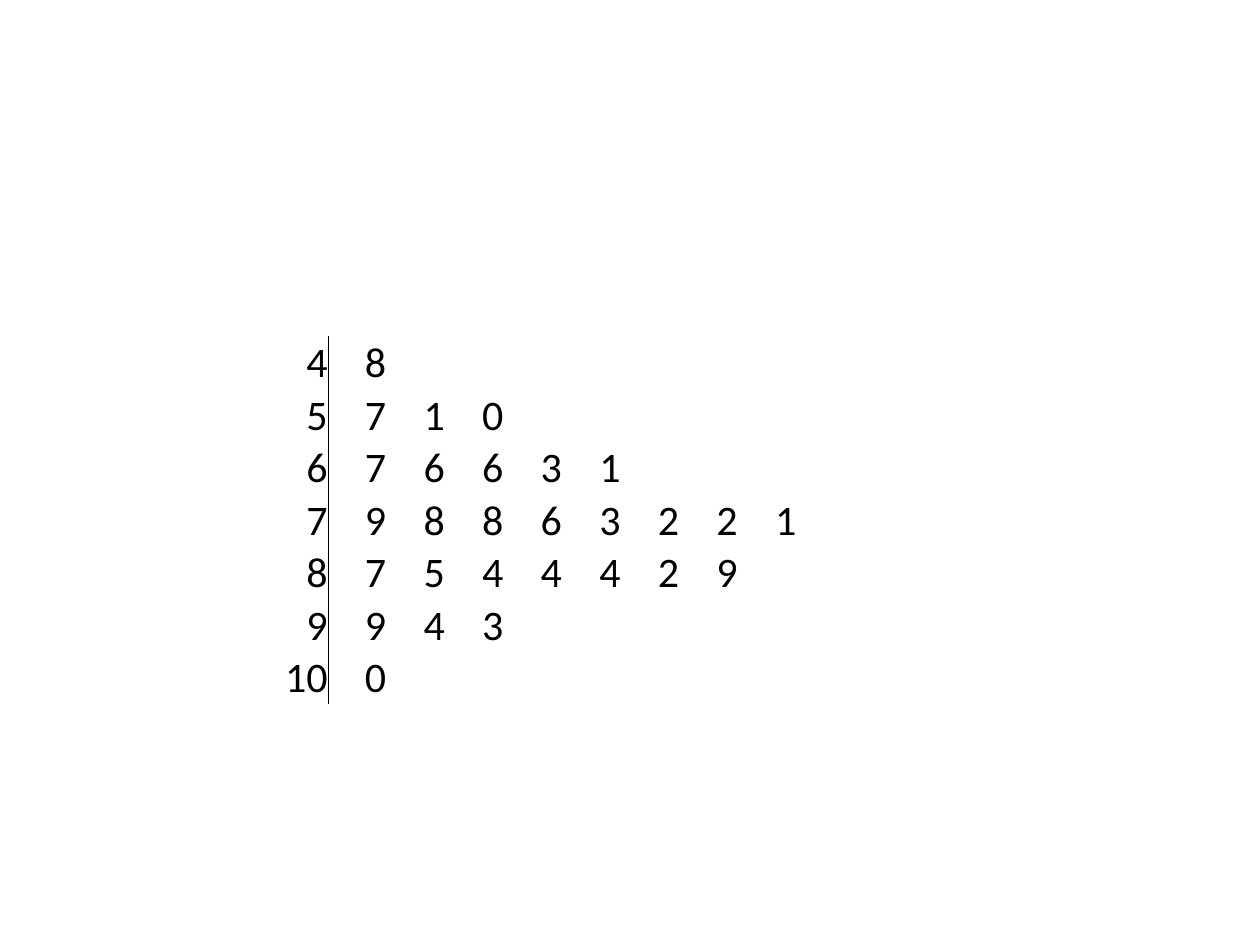
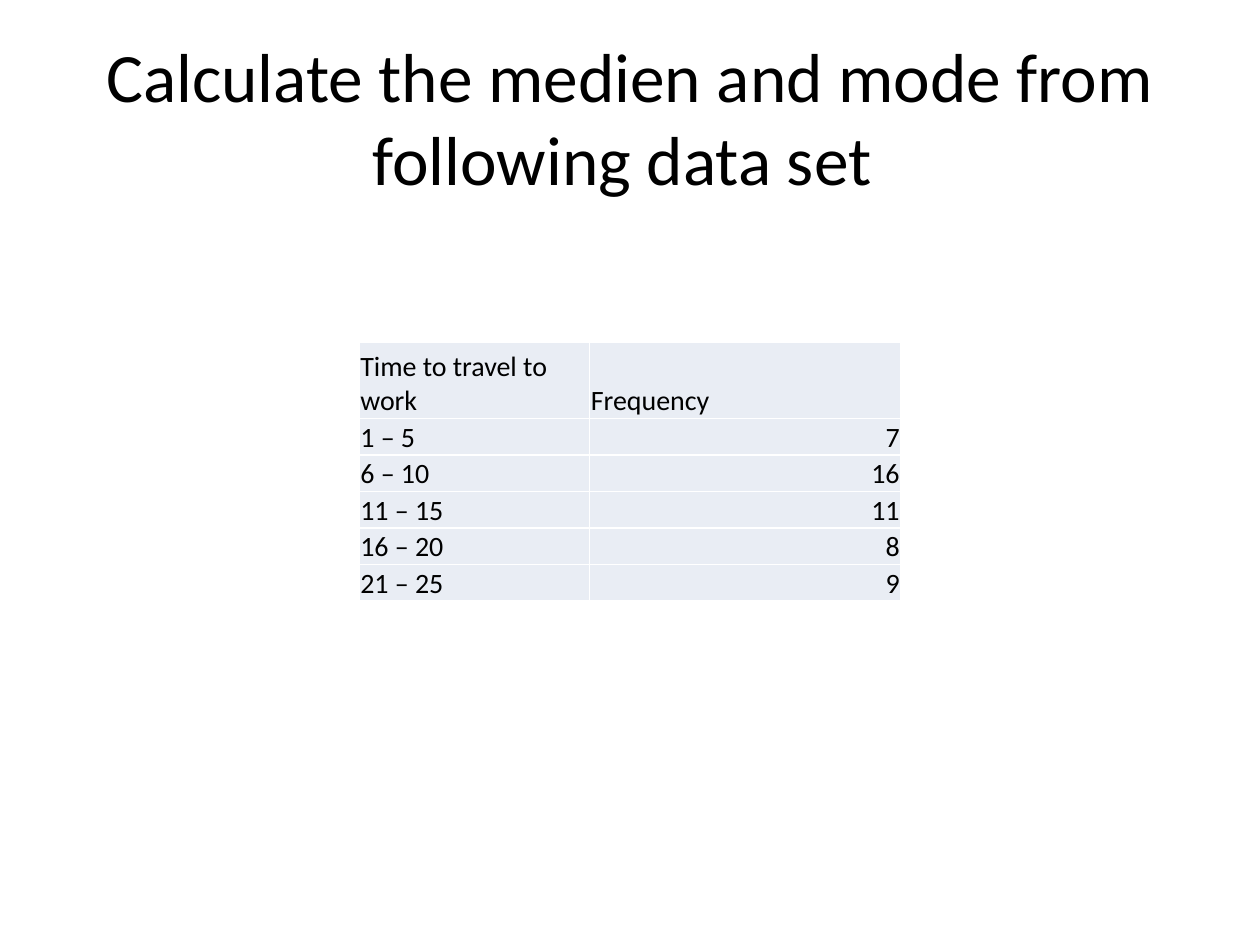
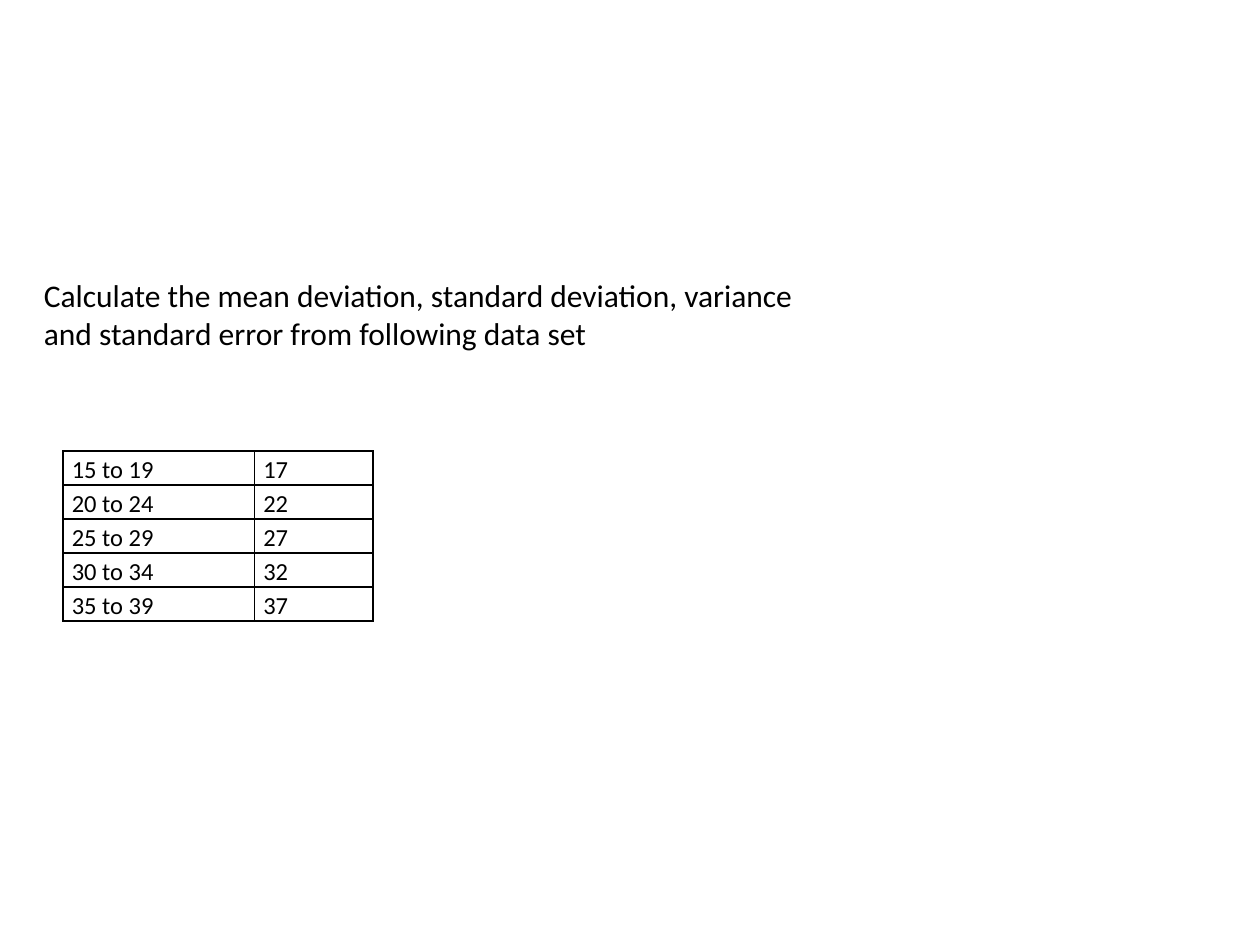
"""Builds three slides of statistics exercises: a stem plot, a frequency table and a grouped data set."""
from lxml import etree
from pptx import Presentation
from pptx.dml.color import RGBColor
from pptx.enum.text import MSO_ANCHOR, PP_ALIGN
from pptx.oxml.ns import qn
from pptx.util import Inches, Pt

LEFT, CENTER, RIGHT = PP_ALIGN.LEFT, PP_ALIGN.CENTER, PP_ALIGN.RIGHT
TOP, MIDDLE, BOTTOM = MSO_ANCHOR.TOP, MSO_ANCHOR.MIDDLE, MSO_ANCHOR.BOTTOM

FONT = "Calibri"
BLACK, WHITE, PALE_BLUE = "000000", "FFFFFF", "E9EDF4"
SIDES = ("L", "R", "T", "B")
TIGHT_MARGINS = (0.01, 0.01, 0.01, 0)
SIDE_MARGINS = (0.07, 0, 0.07, 0)

STEM_PLOT = [
    ("4", "8"),
    ("5", "710"),
    ("6", "76631"),
    ("7", "98863221"),
    ("8", "7544429"),
    ("9", "943"),
    ("10", "0"),
]
LEAF_COLUMNS = max(len(leaves) for _, leaves in STEM_PLOT)

FREQUENCY_TITLE = "Calculate the medien and mode from following data set "
FREQUENCIES = [
    ("Time to travel to work", "Frequency"),
    ("1 – 5", "7"),
    ("6 – 10", "16"),
    ("11 – 15", "11"),
    ("16 – 20", "8"),
    ("21 – 25", "9"),
]

DEVIATION_TASK = (
    "Calculate the mean deviation, standard deviation, variance "
    "and standard error from following data set"
)
GROUPS = [
    ("15 to 19", "17"),
    ("20 to 24", "22"),
    ("25 to 29", "27"),
    ("30 to 34", "32"),
    ("35 to 39", "37"),
]


def color(hex_value):
    return RGBColor.from_string(hex_value)


def style_paragraph(paragraph, size, alignment):
    paragraph.alignment = alignment
    paragraph.font.name = FONT
    paragraph.font.size = Pt(size)
    paragraph.font.color.rgb = color(BLACK)


def add_text(slide, text, left, top, width, height, size, alignment, anchor):
    box = slide.shapes.add_textbox(*map(Inches, (left, top, width, height)))
    frame = box.text_frame
    frame.word_wrap = True
    frame.vertical_anchor = anchor
    frame.text = text
    style_paragraph(frame.paragraphs[0], size, alignment)


def set_borders(cell, borders):
    """Draw the sides in borders, given as side: (colour, points), and clear the others."""
    properties = cell._tc.get_or_add_tcPr()
    for side in SIDES:
        line = etree.SubElement(properties, qn(f"a:ln{side}"))
        if side in borders:
            hex_value, width = borders[side]
            line.set("w", str(Pt(width)))
            fill = etree.SubElement(line, qn("a:solidFill"))
            etree.SubElement(fill, qn("a:srgbClr"), val=hex_value)
        else:
            etree.SubElement(line, qn("a:noFill"))


def add_table(slide, rows, left, top, column_widths, row_heights, size, margins, anchor,
              borders, alignment, fill=None, line_spacing=None):
    """Add a table; borders and alignment are functions of row and column."""
    frame = slide.shapes.add_table(
        len(rows), len(column_widths), Inches(left), Inches(top),
        Inches(sum(column_widths)), Inches(sum(row_heights)))
    table = frame.table
    table.first_row = table.horz_banding = False
    for column, width in zip(table.columns, column_widths):
        column.width = Inches(width)
    for row, height in zip(table.rows, row_heights):
        row.height = Inches(height)
    for row_index, texts in enumerate(rows):
        for column_index, text in enumerate(texts):
            cell = table.cell(row_index, column_index)
            cell.text = text
            cell.vertical_anchor = anchor
            (cell.margin_left, cell.margin_top,
             cell.margin_right, cell.margin_bottom) = map(Inches, margins)
            paragraph = cell.text_frame.paragraphs[0]
            style_paragraph(paragraph, size, alignment(row_index, column_index))
            if line_spacing:
                paragraph.line_spacing = line_spacing
            set_borders(cell, borders(row_index, column_index))
            if fill:
                cell.fill.solid()
                cell.fill.fore_color.rgb = color(fill)
            else:
                cell.fill.background()


def all_sides(hex_value):
    return lambda row, column: dict.fromkeys(SIDES, (hex_value, 1))


def stem_borders(row, column):
    stem_line = (BLACK, 0.5)
    return {0: {"R": stem_line}, 1: {"L": stem_line}}.get(column, {})


def build_stem_plot(slide):
    rows = [[stem, *leaves, *[""] * (LEAF_COLUMNS - len(leaves))] for stem, leaves in STEM_PLOT]
    add_table(slide, rows, 0.58, 2.67, [2.03] + [0.465] * LEAF_COLUMNS, [0.41] * len(rows),
              24, TIGHT_MARGINS, BOTTOM, stem_borders, lambda row, column: RIGHT)


def build_frequencies(slide):
    add_text(slide, FREQUENCY_TITLE, 0.5, 0.3, 9, 1.25, 39.6, CENTER, MIDDLE)
    add_table(slide, FREQUENCIES, 2.85, 2.72, [1.83, 2.47],
              [0.6] + [0.29] * (len(FREQUENCIES) - 1), 16, TIGHT_MARGINS, BOTTOM,
              all_sides(WHITE), lambda row, column: RIGHT if row and column else LEFT,
              fill=PALE_BLUE)


def build_groups(slide):
    add_table(slide, GROUPS, 0.5, 3.58, [1.52, 0.94], [0.27] * len(GROUPS), 14, SIDE_MARGINS,
              TOP, all_sides(BLACK), lambda row, column: LEFT, line_spacing=1.15)
    add_text(slide, DEVIATION_TASK, 0.25, 2.14, 6.17, 0.71, 18, LEFT, TOP)


def main():
    presentation = Presentation()
    presentation.slide_width, presentation.slide_height = Inches(10), Inches(7.5)
    blank_layout = presentation.slide_layouts[6]
    for build in (build_stem_plot, build_frequencies, build_groups):
        build(presentation.slides.add_slide(blank_layout))
    presentation.save("out.pptx")


if __name__ == "__main__":
    main()
